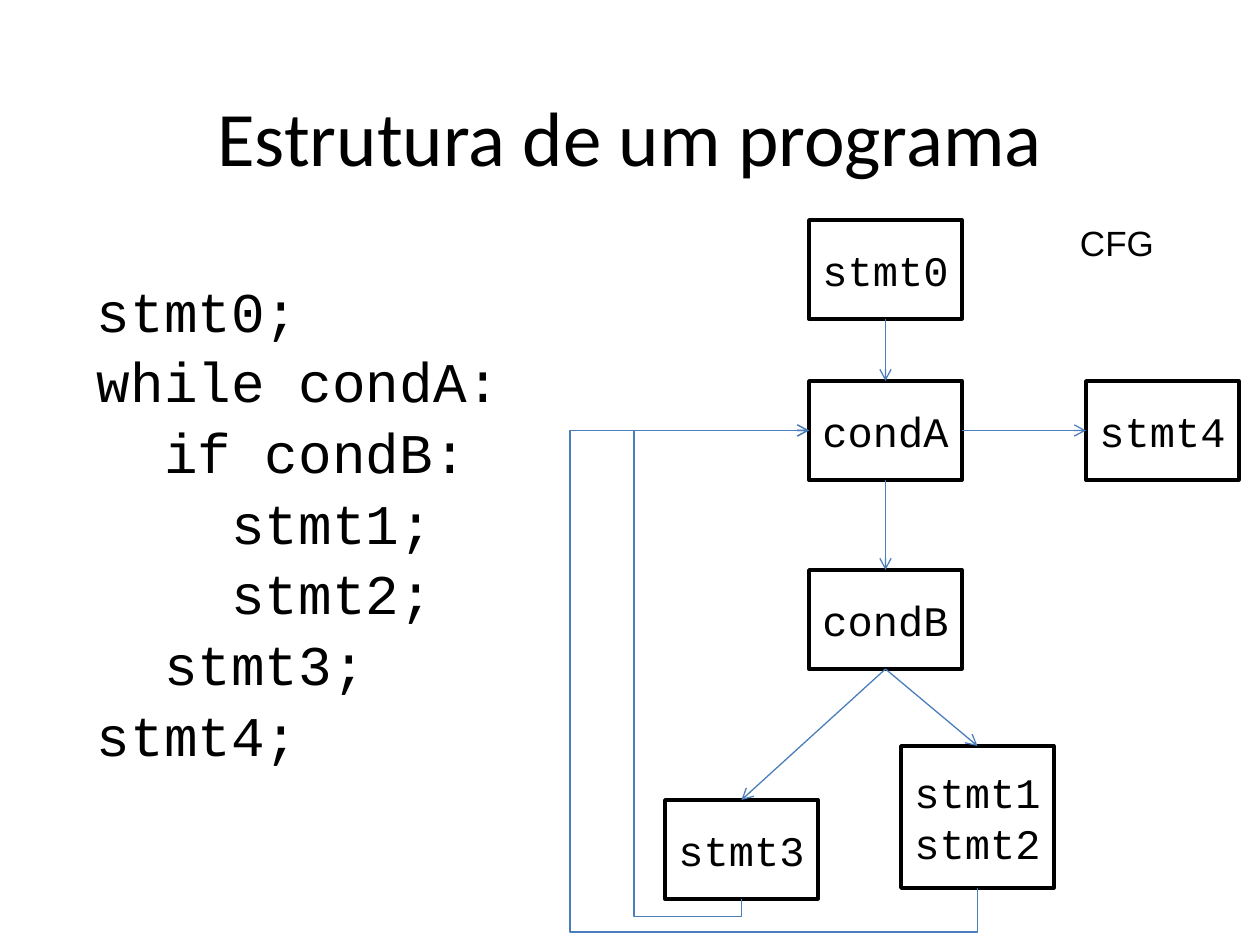
from lxml.etree import SubElement
from pptx import Presentation
from pptx.dml.color import RGBColor
from pptx.enum.shapes import MSO_CONNECTOR as Connector, MSO_SHAPE as Shape
from pptx.enum.text import MSO_ANCHOR as Anchor, MSO_AUTO_SIZE as AutoSize, PP_ALIGN as Align
from pptx.oxml.ns import qn
from pptx.util import Pt

# Content
COLORS = {"text": "000000", "box": "FFFFFF", "arrow": "4B7EBC"}
TITLE = "Estrutura de um programa"
CODE = ["stmt0;", "while condA:", "  if condB:", "    stmt1;", "    stmt2;", "  stmt3;", "stmt4;"]
BOX_WIDTH, BOX_HEIGHT = 153, 99
NODES = {  # name: (lines, left, top, height)
    "stmt0": (["stmt0"], 809, 220, BOX_HEIGHT),
    "condA": (["condA"], 809, 381, BOX_HEIGHT),
    "condB": (["condB"], 809, 570, BOX_HEIGHT),
    "stmt4": (["stmt4"], 1086, 381, BOX_HEIGHT),
    "stmt3": (["stmt3"], 665, 800, BOX_HEIGHT),
    "block": (["stmt1", "stmt2"], 901, 746, 142),
}
TOP, LEFT, BOTTOM, RIGHT = range(4)
EDGES = [
    ("stmt0", BOTTOM, "condA", TOP),
    ("condA", BOTTOM, "condB", TOP),
    ("condA", RIGHT, "stmt4", LEFT),
    ("condB", BOTTOM, "stmt3", TOP),
    ("condB", BOTTOM, "block", TOP),
]
LOOPS = [("stmt3", "condA", 634, 917), ("block", "condA", 570, 932)]  # rail x, rail y
CODE_FONT = {"name": "Courier New", "size": Pt(32)}
BOX_FONT = {"name": "Courier New", "size": Pt(24)}


def px(value):
    return round(value * 914400 / 126)


def color(name):
    return RGBColor.from_string(COLORS[name])


def place(shape, left, top, width, height):
    shape.left, shape.top, shape.width, shape.height = map(px, (left, top, width, height))


def write(shape, lines, font, frame_format, align, gap=0):
    frame = shape.text_frame
    frame.text = "\n".join(lines)
    for name, value in frame_format.items():
        setattr(frame, name, value)
    for index, paragraph in enumerate(frame.paragraphs):
        properties = paragraph._p.get_or_add_pPr()
        properties.set("marL", "0")
        properties.set("indent", "0")
        SubElement(properties, qn("a:buNone"))
        paragraph.alignment = align
        paragraph.space_before = Pt(gap if index else 0)
        paragraph.font.color.rgb = color("text")
        for name, value in font.items():
            setattr(paragraph.font, name, value)


def insets(side, top, bottom):
    return {"margin_left": px(side), "margin_right": px(side),
            "margin_top": px(top), "margin_bottom": px(bottom)}


def add_arrow(shapes, kind):
    arrow = shapes.add_connector(kind, 0, 0, 0, 0)
    arrow.line.color.rgb = color("arrow")
    arrow.line.width = Pt(0.75)
    SubElement(arrow.line._get_or_add_ln(), qn("a:tailEnd"), type="arrow")
    SubElement(arrow._element.spPr, qn("a:effectLst"))
    return arrow


def add_loop(shapes, source, target, rail_x, rail_y):
    """Leave the source's bottom, follow both rails and enter the target's left."""
    _, left, top, height = NODES[source]
    start_x, start_y = left + BOX_WIDTH / 2, top + height
    _, end_x, top, height = NODES[target]
    end_y = top + height / 2
    rise, run = start_y - end_y, start_x - end_x

    arrow = add_arrow(shapes, Connector.ELBOW)
    place(arrow, (start_x + end_x - rise) / 2, (start_y + end_y - abs(run)) / 2, rise, abs(run))
    transform = arrow._element.spPr.find(qn("a:xfrm"))
    transform.set("rot", "5400000")
    transform.set("flipH", "1")
    if run < 0:
        transform.set("flipV", "1")
    geometry = arrow._element.spPr.find(qn("a:prstGeom"))
    geometry.set("prst", "bentConnector4")
    guides = geometry.find(qn("a:avLst"))
    for name, ratio in (("adj1", (start_y - rail_y) / rise), ("adj2", (start_x - rail_x) / run)):
        SubElement(guides, qn("a:gd"), name=name, fmla=f"val {round(ratio * 100000)}")


def main():
    presentation = Presentation()
    presentation.slide_width, presentation.slide_height = px(1260), px(945)
    slide = presentation.slides.add_slide(presentation.slide_layouts[1])
    shapes = slide.shapes

    # Title and code
    title, body = shapes.title, slide.placeholders[1]
    place(title, 63, 38, 1134, 157)
    write(title, [TITLE], {"name": "Calibri", "size": Pt(44)},
          {"vertical_anchor": Anchor.BOTTOM, "auto_size": AutoSize.NONE, **insets(13, 13, 13)},
          Align.CENTER)
    place(body, 84, 252, 451, 684)
    write(body, CODE, CODE_FONT,
          {"vertical_anchor": Anchor.TOP, "auto_size": AutoSize.NONE, **insets(13, 24, 13)},
          Align.LEFT, gap=2)

    # Flow graph nodes
    boxes = {}
    for name, (lines, left, top, height) in NODES.items():
        box = boxes[name] = shapes.add_shape(
            Shape.RECTANGLE, *map(px, (left, top, BOX_WIDTH, height)))
        box.shadow.inherit = False
        box.fill.solid()
        box.fill.fore_color.rgb = color("box")
        box.line.color.rgb = color("text")
        box.line.width = Pt(2)
        write(box, lines, BOX_FONT,
              {"vertical_anchor": Anchor.MIDDLE, "word_wrap": False, **insets(13, 13, 13)},
              Align.CENTER)

    # Graph label
    label = shapes.add_textbox(*map(px, (1067, 215, 100, 54)))
    write(label, ["CFG"], {"name": "Arial", "size": Pt(20)},
          {"word_wrap": False, **insets(13, 6, 6)}, Align.LEFT)

    # Arrows
    for source, source_side, target, target_side in EDGES:
        arrow = add_arrow(shapes, Connector.STRAIGHT)
        arrow.begin_connect(boxes[source], source_side)
        arrow.end_connect(boxes[target], target_side)
    for loop in LOOPS:
        add_loop(shapes, *loop)

    presentation.save("out.pptx")


if __name__ == "__main__":
    main()
